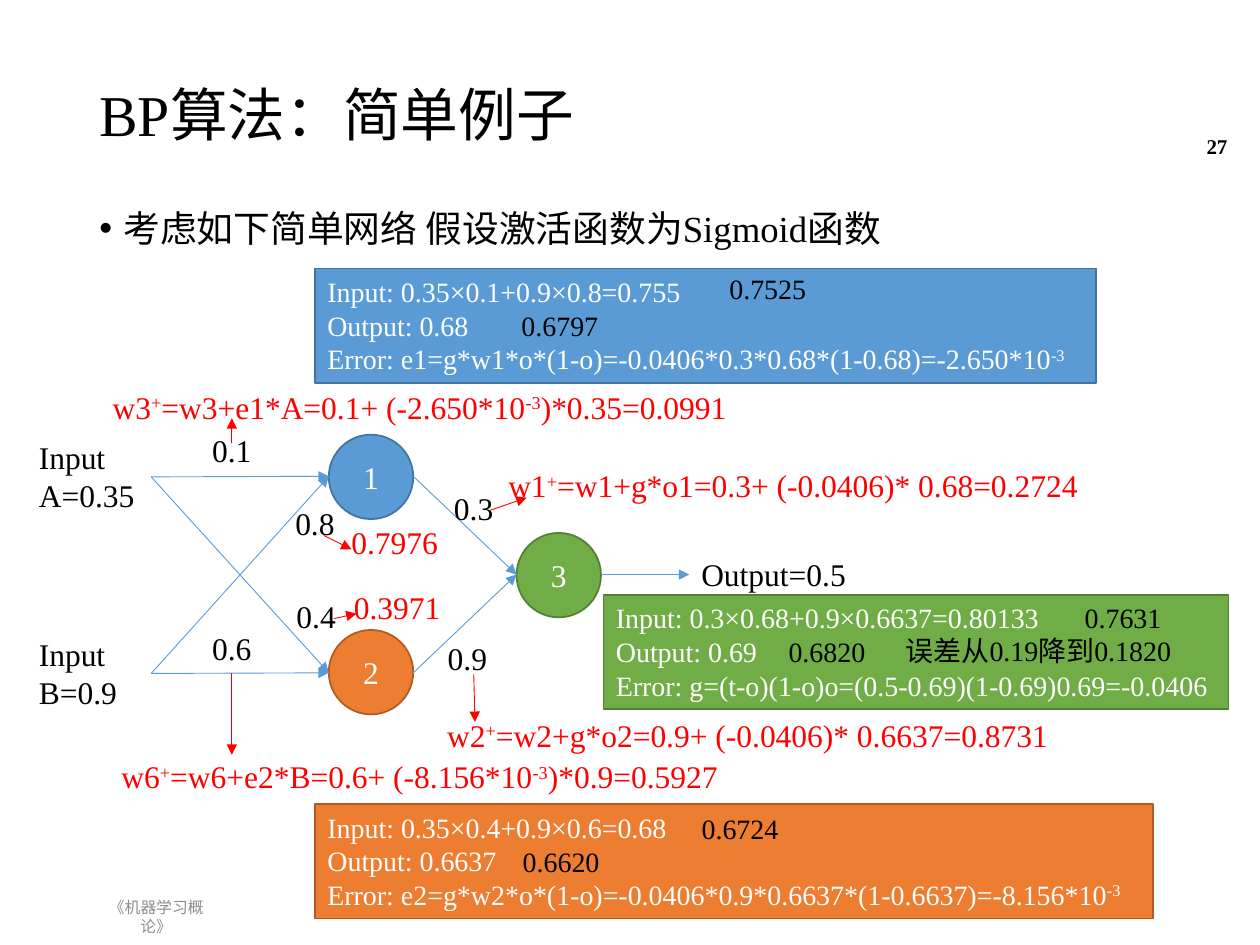
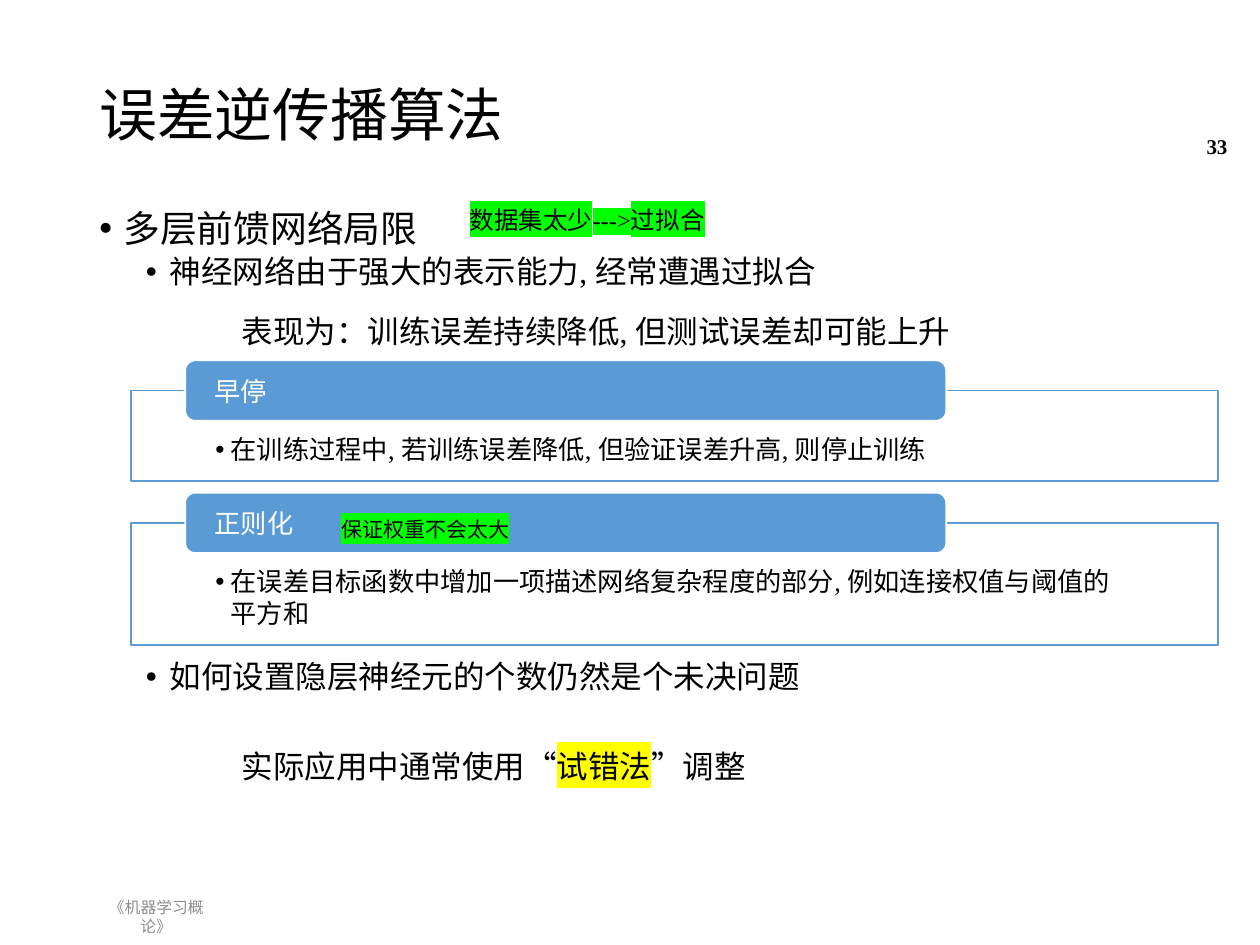
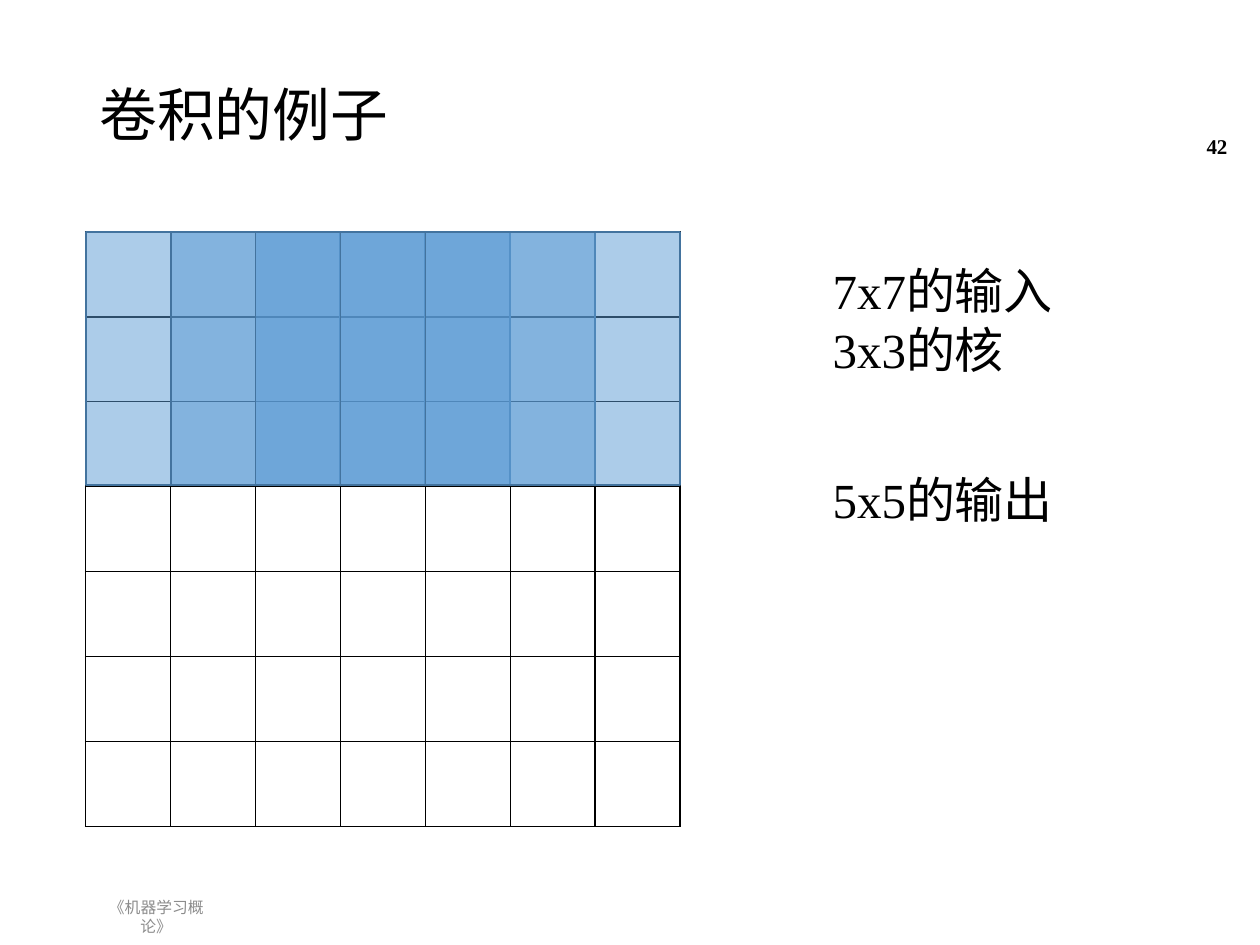
from lxml import etree
from pptx import Presentation
from pptx.dml.color import RGBColor
from pptx.enum import shapes, text
from pptx.oxml import ns
from pptx.util import Inches, Pt

FONT = "Times New Roman"
BLACK, WHITE, RED, GREY = "000000", "FFFFFF", "FF0000", "8C8C8C"
BLUE, ORANGE, GREEN = "5B9BD5", "ED7D31", "70AD47"
LIME, YELLOW = "00FF00", "FFFF00"
EDGES = {BLUE: "43739E", ORANGE: "AF5C24", GREEN: "538035"}
LEFT, CENTER, RIGHT = text.PP_ALIGN.LEFT, text.PP_ALIGN.CENTER, text.PP_ALIGN.RIGHT
TOP, MIDDLE = text.MSO_ANCHOR.TOP, text.MSO_ANCHOR.MIDDLE
RECTANGLE = shapes.MSO_SHAPE.RECTANGLE
ROUNDED = shapes.MSO_SHAPE.ROUNDED_RECTANGLE
OVAL = shapes.MSO_SHAPE.OVAL
RIGHT_SIDE = 3


def rgb(value):
    """Turn a hex string into a colour."""
    return RGBColor.from_string(value)


def child(parent, tag, **attributes):
    """Append a DrawingML element to parent."""
    return etree.SubElement(parent, ns.qn(f"a:{tag}"), attributes)


def write(frame, content, size=18, color=BLACK, bold=False, align=LEFT, spacing=None,
          before=0, margin=0, bullet=0, highlight=None):
    """Add paragraphs; parts between carets are highlighted or else superscript."""
    for line in content.split("\n"):
        paragraph = frame.add_paragraph() if frame.text else frame.paragraphs[0]
        paragraph.alignment = align
        paragraph.line_spacing = spacing
        paragraph.space_before = Pt(before)
        properties = paragraph._p.get_or_add_pPr()
        properties.set("marL", str(Inches(margin)))
        properties.set("indent", str(Inches(-bullet)))
        if bullet:
            child(properties, "buFont", typeface="Arial")
            child(properties, "buChar", char="•")
        for index, part in enumerate(line.split("^")):
            if not part:
                continue
            run = paragraph.add_run()
            run.text = part
            run.font.size = Pt(size)
            run.font.bold = bold
            run.font.color.rgb = rgb(color)
            marked = index % 2 == 1
            if marked and highlight:
                child(child(run.font._element, "highlight"), "srgbClr", val=highlight)
            elif marked:
                run.font._element.set("baseline", "30000")
            run.font.name = FONT


class Deck:
    """Holds the shared style and the current slide."""

    def __init__(self):
        """Start a 10 by 7.5 inch presentation."""
        self.presentation = Presentation()
        self.presentation.slide_width = Inches(10)
        self.presentation.slide_height = Inches(7.5)
        self.slide = None

    def add_slide(self, title, number):
        """Open a slide with its title, footer and number."""
        self.slide = self.presentation.slides.add_slide(self.presentation.slide_layouts[6])
        self.text(0.69, 0.4, 8.62, 1.07, title, anchor=MIDDLE, size=33, spacing=0.9)
        self.text(0.69, 7.13, 1.1, 0.29, "《机器学习概论》", anchor=MIDDLE, size=9,
                  color=GREY, align=CENTER)
        self.text(9.15, 0.96, 0.69, 0.4, str(number), anchor=MIDDLE, size=12, bold=True,
                  align=RIGHT)

    def text(self, left, top, width, height, content, anchor=TOP, wrap=True, **style):
        """Add a text box."""
        box = self.slide.shapes.add_textbox(*map(Inches, (left, top, width, height)))
        box.text_frame.word_wrap = wrap
        box.text_frame.vertical_anchor = anchor
        write(box.text_frame, content, **style)
        return box

    def body(self, content):
        """Add the main text area with its first bullet."""
        return self.text(0.69, 1.62, 8.62, 5.39, content, size=21, spacing=0.9,
                         margin=0.19, bullet=0.19)

    def shape(self, kind, left, top, width, height, fill, edge, alpha=100, content="",
              anchor=MIDDLE, insets=(0.1, 0.05), **style):
        """Add a filled preset shape with optional text."""
        shape = self.slide.shapes.add_shape(kind, *map(Inches, (left, top, width, height)))
        shape.shadow.inherit = False
        shape.fill.solid()
        shape.fill.fore_color.rgb = rgb(fill)
        if alpha < 100:
            solid = shape._element.spPr.find(ns.qn("a:solidFill"))
            child(solid[0], "alpha", val=str(alpha * 1000))
        shape.line.color.rgb = rgb(edge)
        shape.line.width = Pt(1)
        frame = shape.text_frame
        frame.word_wrap = True
        frame.vertical_anchor = anchor
        frame.margin_left = frame.margin_right = Inches(insets[0])
        frame.margin_top = frame.margin_bottom = Inches(insets[1])
        if content:
            write(frame, content, **style)

    def neuron(self, left, top, label, fill):
        """Add a numbered network node."""
        self.shape(OVAL, left, top, 0.67, 0.67, fill, EDGES[fill], content=label,
                   color=WHITE, align=CENTER)

    def calculation(self, left, top, width, fill, content):
        """Add a panel with the sums of one neuron."""
        self.shape(RECTANGLE, left, top, width, 0.91, fill, EDGES[fill], content=content,
                   anchor=TOP, size=16, color=WHITE)

    def arrow(self, start, end, color=BLUE, source=None):
        """Add an arrow, joined to the right side of source if given."""
        line = self.slide.shapes.add_connector(
            shapes.MSO_CONNECTOR.STRAIGHT, *map(Inches, (*start, *end)))
        if source:
            line.begin_connect(source, RIGHT_SIDE)
        line.line.color.rgb = rgb(color)
        line.line.width = Pt(0.5)
        child(line.line._get_or_add_ln(), "tailEnd", type="triangle")
        child(line._element.spPr, "effectLst")

    def grid(self, left, top, count, cell_size):
        """Add an empty square table with black borders."""
        side = Inches(cell_size * count)
        table = self.slide.shapes.add_table(
            count, count, Inches(left), Inches(top), side, side).table
        table.first_row = table.horz_banding = False
        for cell in table.iter_cells():
            properties = cell._tc.get_or_add_tcPr()
            for edge in ("lnL", "lnR", "lnT", "lnB"):
                border = child(properties, edge, w=str(Pt(1)))
                child(child(border, "solidFill"), "srgbClr", val=BLACK)
            cell.fill.background()

    def remedy(self, top, height, heading, content):
        """Add a framed remedy with its heading tab."""
        self.shape(RECTANGLE, 1.04, top, 8.63, height, WHITE, BLUE, alpha=90,
                   content=content, anchor=TOP, insets=(0.67, 0.34), size=15,
                   margin=0.12, bullet=0.12)
        self.shape(ROUNDED, 1.47, top - 0.24, 6.04, 0.48, BLUE, WHITE, content=heading,
                   insets=(0.21, 0), size=15, color=WHITE)


def network_slide(deck):
    """Build the worked backpropagation example."""
    deck.add_slide("BP算法：简单例子", 27)
    deck.body("考虑如下简单网络 假设激活函数为Sigmoid函数")
    deck.neuron(2.61, 3.45, "1", BLUE)
    deck.neuron(2.61, 5, "2", ORANGE)
    deck.neuron(4.1, 4.23, "3", GREEN)

    rows = (3.78, 5.34)
    for row, label in zip(rows, ("Input\nA=0.35", "Input\nB=0.9")):
        source = deck.text(0.21, row - 0.35, 0.99, 0.71, label)
        for target in rows:
            deck.arrow((1.2, row), (2.61, target), source=source)
        deck.arrow((3.28, row), (4.1, 4.56))
    deck.arrow((4.77, 4.56), (5.47, 4.56))

    weights = ((1.51, 3.37, "0.1"), (1.51, 4.94, "0.6"), (2.17, 3.95, "0.8"),
               (2.18, 4.69, "0.4"), (3.38, 5.02, "0.9"), (3.43, 3.83, "0.3"))
    for left, top, weight in weights:
        deck.text(left, top, 0.66, 0.4, weight, align=CENTER)
    deck.text(5.44, 4.36, 1.4, 0.4, "Output=0.5", align=CENTER)

    deck.calculation(2.5, 2.13, 6.2, BLUE, (
        "Input: 0.35×0.1+0.9×0.8=0.755\nOutput: 0.68\n"
        "Error: e1=g*w1*o*(1-o)=-0.0406*0.3*0.68*(1-0.68)=-2.650*10^-3^"))
    deck.calculation(2.5, 6.38, 6.65, ORANGE, (
        "Input: 0.35×0.4+0.9×0.6=0.68\nOutput: 0.6637\n"
        "Error: e2=g*w2*o*(1-o)=-0.0406*0.9*0.6637*(1-0.6637)=-8.156*10^-3^"))
    deck.calculation(4.79, 4.72, 4.96, GREEN, (
        "Input: 0.3×0.68+0.9×0.6637=0.80133\nOutput: 0.69\n"
        "Error: g=(t-o)(1-o)o=(0.5-0.69)(1-0.69)0.69=-0.0406"))

    updates = (
        (3.89, 3.65, 4.81, "w1^+^=w1+g*o1=0.3+ (-0.0406)* 0.68=0.2724"),
        (3.38, 5.63, 5.11, "w2^+^=w2+g*o2=0.9+ (-0.0406)* 0.6637=0.8731"),
        (0.67, 3.03, 5.32, "w3^+^=w3+e1*A=0.1+ (-2.650*10^-3^)*0.35=0.0991"),
        (0.67, 5.96, 5.32, "w6^+^=w6+e2*B=0.6+ (-8.156*10^-3^)*0.9=0.5927"))
    for left, top, width, formula in updates:
        deck.text(left, top, width, 0.4, formula, color=RED, align=CENTER)
    for left, top, weight in ((2.71, 4.62, "0.3971"), (2.69, 4.1, "0.7976")):
        deck.text(left, top, 0.9, 0.4, weight, wrap=False, color=RED)

    update_arrows = (
        ((2.57, 4.25), (2.79, 4.36)), ((2.65, 4.91), (2.83, 4.87)),
        ((1.84, 5.34), (1.84, 5.99)), ((1.84, 3.52), (1.84, 3.32)),
        ((3.89, 4.05), (4.18, 3.95)), ((3.76, 5.35), (3.77, 5.73)))
    for start, end in update_arrows:
        deck.arrow(start, end, RED)

    new_values = ((5.69, 2.11, "0.7525"), (4.04, 2.4, "0.6797"), (5.47, 6.39, "0.6724"),
                  (4.05, 6.65, "0.6620"), (6.16, 4.99, "0.6820"), (8.51, 4.72, "0.7631"))
    for left, top, value in new_values:
        deck.text(left, top, 0.82, 0.37, value, wrap=False, size=16)
    deck.text(7.09, 4.98, 2.89, 0.37, "误差从0.19降到0.1820", size=16)


def overfitting_slide(deck):
    """Build the slide on limits of feedforward networks."""
    deck.add_slide("误差逆传播算法", 33)
    frame = deck.body("多层前馈网络局限").text_frame
    points = (("神经网络由于强大的表示能力, 经常遭遇过拟合", 3.8),
              ("如何设置隐层神经元的个数仍然是个未决问题", 212))
    for point, before in points:
        write(frame, point, spacing=0.9, before=before, margin=0.56, bullet=0.19)
    deck.text(1.32, 2.43, 6.6, 0.4, "表现为：训练误差持续降低, 但测试误差却可能上升",
              margin=0.5)
    deck.text(1.32, 5.88, 4.75, 0.4, "实际应用中通常使用“^试错法^”调整", wrap=False,
              margin=0.5, highlight=YELLOW)
    deck.remedy(3.1, 0.72, "早停", "在训练过程中, 若训练误差降低, 但验证误差升高, 则停止训练")
    deck.remedy(4.15, 0.97, "正则化",
                "在误差目标函数中增加一项描述网络复杂程度的部分, 例如连接权值与阈值的平方和")
    deck.text(3.63, 1.58, 3.57, 0.34, "^数据集太少--->过拟合^", size=14, highlight=LIME)
    deck.text(2.61, 4.05, 1.63, 0.3, "^保证权重不会太大^", size=12, highlight=LIME)


def convolution_slide(deck):
    """Build the sliding-kernel example."""
    left, top, cells, kernel = 0.68, 1.84, 7, 3
    cell_size = 4.72 / cells
    deck.add_slide("卷积的例子", 42)
    deck.grid(left, top, cells, cell_size)
    deck.text(6.51, 2.02, 3.15, 1.04, "7x7的输入\n3x3的核", size=28)
    for step in range(cells - kernel + 1):
        deck.shape(RECTANGLE, left + step * cell_size, top, 2.02, 2.01, BLUE, EDGES[BLUE],
                   alpha=50)
    deck.text(6.51, 3.68, 3.15, 0.57, "5x5的输出", size=28)


def main():
    """Build and save the three slides."""
    deck = Deck()
    network_slide(deck)
    overfitting_slide(deck)
    convolution_slide(deck)
    deck.presentation.save("out.pptx")


if __name__ == "__main__":
    main()
